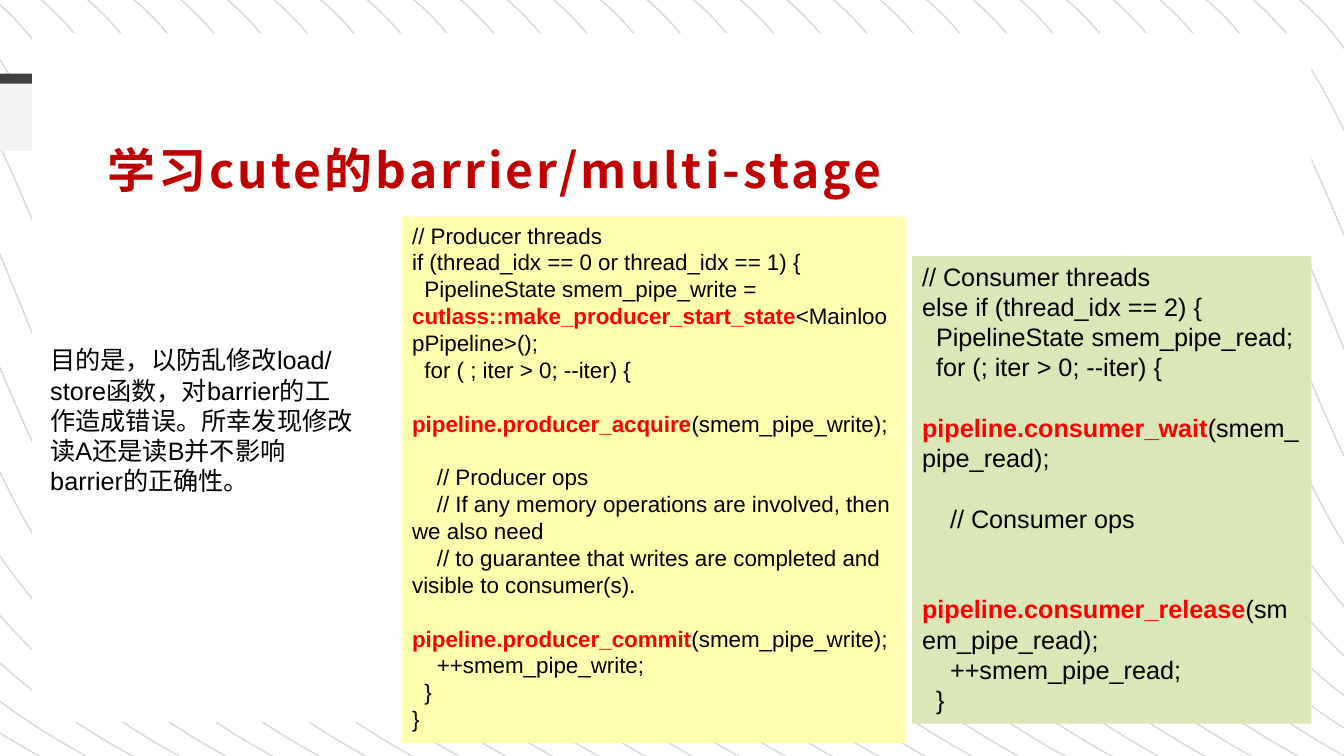
from dataclasses import dataclass

from lxml.etree import SubElement
from pptx import Presentation
from pptx.dml.color import RGBColor as RGB
from pptx.enum.shapes import MSO_SHAPE as Shape
from pptx.enum.text import MSO_ANCHOR as Anchor, PP_ALIGN as Align
from pptx.oxml.ns import qn
from pptx.util import Pt


@dataclass(frozen=True)
class Theme:
    white: RGB = RGB(0xFF, 0xFF, 0xFF)
    black: RGB = RGB(0, 0, 0)
    wave: RGB = RGB(0xD9, 0xD9, 0xD9)
    tab: RGB = RGB(0xF2, 0xF2, 0xF2)
    bar: RGB = RGB(0x40, 0x40, 0x40)
    title: RGB = RGB(0xC0, 0, 0)
    hot: RGB = RGB(0xFF, 0, 0)
    yellow: RGB = RGB(0xFF, 0xFF, 0xAF)
    green: RGB = RGB(0xDB, 0xE7, 0xB6)
    latin: str = "Arial"
    han: str = "Noto Sans CJK SC"
    head: float = 34.2
    body: int = 18
    small: int = 16
    lead: float = 1.2


theme = Theme()

PRODUCER = """// Producer threads
if (thread_idx == 0 or thread_idx == 1) {
  PipelineState smem_pipe_write = *cutlass::make_producer_start_state*<MainloopPipeline>();
  for ( ; iter > 0; --iter) {
    *pipeline.producer_acquire*(smem_pipe_write);

    // Producer ops
    // If any memory operations are involved, then we also need
    // to guarantee that writes are completed and visible to consumer(s).
    *pipeline.producer_commit*(smem_pipe_write);
    ++smem_pipe_write;
  }
}"""

CONSUMER = """// Consumer threads
else if (thread_idx == 2) {
  PipelineState smem_pipe_read;
  for (; iter > 0; --iter) {
    *pipeline.consumer_wait*(smem_pipe_read);

    // Consumer ops

    *pipeline.consumer_release*(smem_pipe_read);
    ++smem_pipe_read;
  }"""

PURPOSE = ("目的是，以防乱修改load/store函数，对barrier的工作造成错误。"
           "所幸发现修改读A还是读B并不影响barrier的正确性。")


def add_rect(left, top, width, height, fill):
    box = slide.shapes.add_shape(
        Shape.RECTANGLE, Pt(left), Pt(top), Pt(width), Pt(height))
    box.shadow.inherit = False
    box.fill.solid()
    box.fill.fore_color.rgb = fill
    box.line.fill.background()
    return box


def write(frame, text, size):
    """Set text line by line; *stars* mark hot runs, an empty line is a gap."""
    frame.word_wrap = True
    para, gap = None, 0
    for line in text.split("\n"):
        if not line:
            gap += size * theme.lead
            continue
        para = frame.add_paragraph() if para else frame.paragraphs[0]
        para.alignment = Align.LEFT
        para.line_spacing = Pt(size * theme.lead)
        if gap:
            para.space_before = Pt(gap)
        gap = 0
        for i, part in enumerate(line.split("*")):
            run = para.add_run()
            run.text = part
            font = run.font
            font.size, font.name = Pt(size), theme.latin
            font.bold = i % 2 == 1
            font.color.rgb = theme.hot if font.bold else theme.black
            SubElement(font._element, qn("a:ea"), typeface=theme.han)


deck = Presentation()
deck.slide_width, deck.slide_height = Pt(960), Pt(540)
slide = deck.slides.add_slide(deck.slide_layouts[5])

# Wave lines: one three-part Bezier curve, repeated at an equal step
knots = [(0, -19.4), (67, -36.7), (134, -54), (199.4, 17.3),
         (265, 88.6), (323.6, 315.4), (393, 408.2),
         (462, 501.1), (538.5, 537.8), (614.9, 574.6)]

for i in range(39):
    shift = -518.4 + 33.3 * i
    dots = [(Pt(x + shift), Pt(y)) for x, y in knots]
    pen = slide.shapes.build_freeform(*dots[0])
    pen.add_line_segments(dots[1:], close=False)
    wave = pen.convert_to_shape()
    wave.shadow.inherit = False
    wave.fill.background()
    wave.line.color.rgb = theme.wave
    wave.line.width = Pt(1)
    # Every three straight segments become one cubic curve
    legs = list(wave.element.iter(qn("a:lnTo")))
    track = legs[0].getparent()
    for k in range(0, len(legs), 3):
        bend = SubElement(track, qn("a:cubicBezTo"))
        for leg in legs[k:k + 3]:
            bend.append(leg[0])
            track.remove(leg)

# Side tab and white page
add_rect(-27.4, 56.2, 120.2, 51.8, theme.tab)
add_rect(0, 52.6, 42.5, 7.2, theme.bar)
add_rect(23, 23.8, 913.7, 491.8, theme.white)

# Title, raised above the page
title = slide.shapes.title
title.element.getparent().append(title.element)
title.left, title.top, title.width, title.height = (
    Pt(72), Pt(89), Pt(579.6), Pt(55.4))
frame = title.text_frame
frame.word_wrap = True
frame.vertical_anchor = Anchor.BOTTOM
frame.margin_left = frame.margin_right = Pt(5)
frame.margin_top = frame.margin_bottom = Pt(2.2)
para = frame.paragraphs[0]
para.alignment = Align.LEFT
para.line_spacing = 0.91
run = para.add_run()
run.text = "学习cute的barrier/multi-stage"
font = run.font
font.size, font.name, font.bold = Pt(theme.head), theme.han, True
font.color.rgb = theme.title
font._element.set("spc", "220")
SubElement(font._element, qn("a:ea"), typeface=theme.han)

# Purpose text and the two code panels
note = slide.shapes.add_textbox(Pt(28.8), Pt(242.6), Pt(231.1), Pt(115.9))
write(note.text_frame, PURPOSE, theme.body)

for code, size, fill, area in (
        (PRODUCER, theme.small, theme.yellow, (287.3, 154.8, 359.3, 375.8)),
        (CONSUMER, theme.body, theme.green, (651.6, 182.9, 285.1, 334.1))):
    panel = add_rect(*area, fill)
    panel.text_frame.vertical_anchor = Anchor.TOP
    write(panel.text_frame, code, size)

deck.save("out.pptx")
